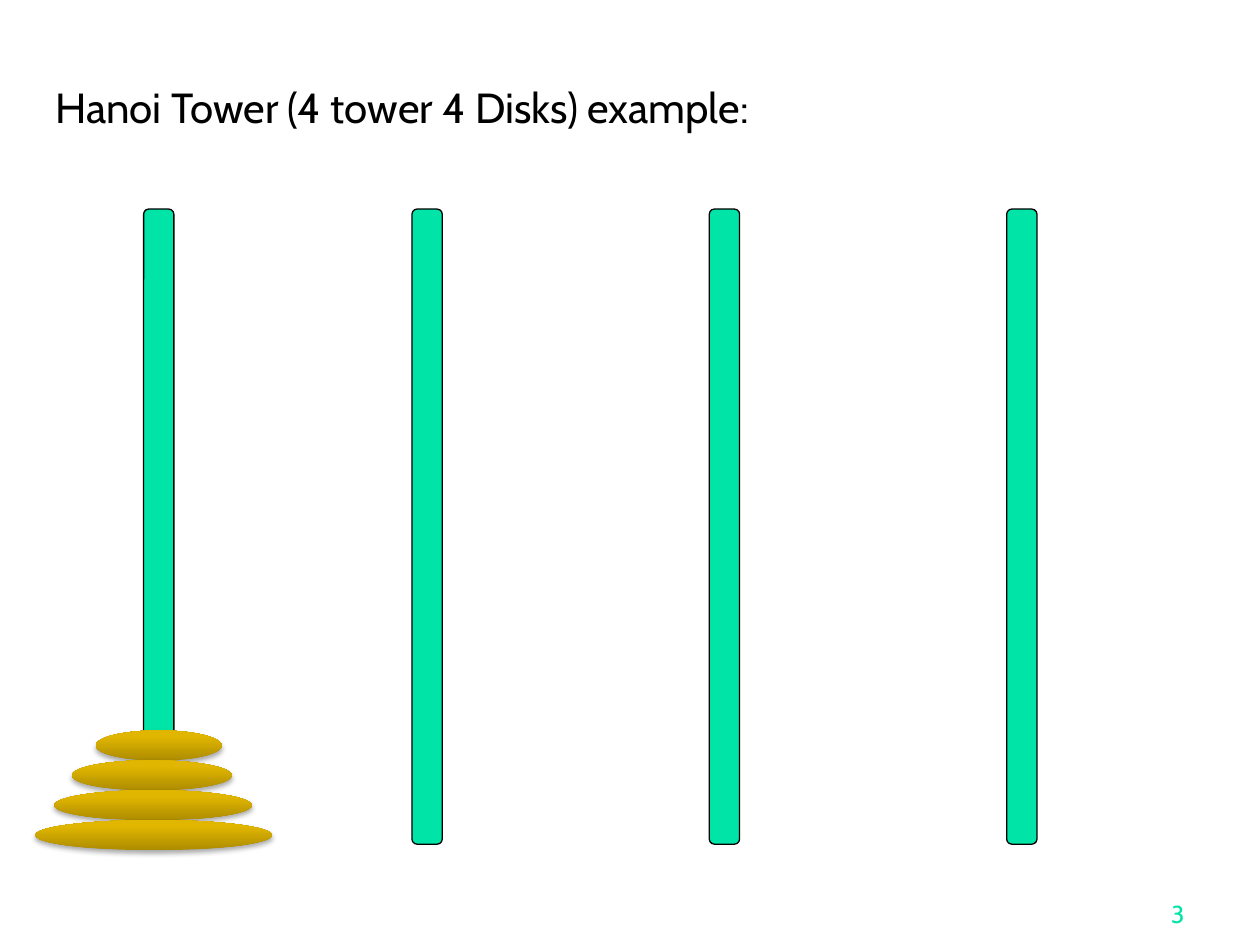
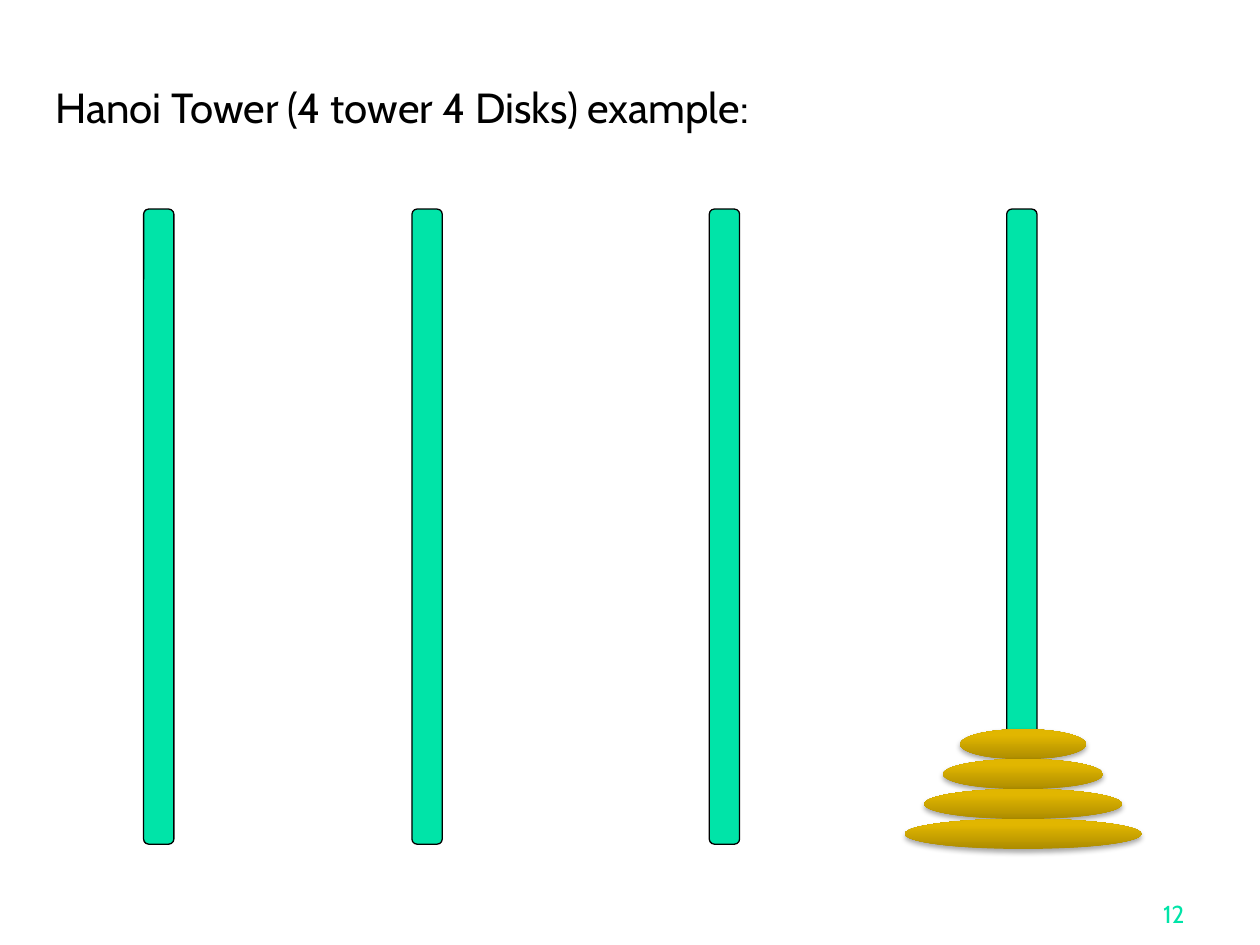
from lxml.etree import SubElement
from pptx import Presentation
from pptx.dml.color import RGBColor
from pptx.enum.shapes import MSO_SHAPE
from pptx.enum.text import MSO_ANCHOR, PP_ALIGN
from pptx.oxml import parse_xml
from pptx.oxml.ns import nsdecls, qn
from pptx.util import Inches, Pt

GREEN = RGBColor(0x00, 0xE4, 0xA8)
BLACK = RGBColor(0x00, 0x00, 0x00)
DARK = RGBColor(0xAD, 0x8C, 0x00)
GOLD = RGBColor(0xE1, 0xB6, 0x00)
LIGHT = RGBColor(0xE2, 0xB7, 0x00)

FONT = "Cabin"
COLS, ROWS = 100, 75  # grid laid over the slide
TITLE = "Hanoi Tower (4 tower 4 Disks) example:"

# Lengths in columns and rows
POLES = [12.6, 33.9, 57.5, 81.1]  # centre columns
POLE_TOP, POLE_W, POLE_H = 16.6, 2.4, 50.4
DISKS = [10, 12.7, 15.7, 18.8]  # widths, top disk first
DISK_H, STEP = 2.4, 2.37


class Deck:
    def __init__(self):
        self.prs = Presentation()
        self.prs.slide_width = Inches(10)
        self.prs.slide_height = Inches(7.5)
        self.slide = None

    def grid(self, x, y, w, h):
        col = self.prs.slide_width / COLS
        row = self.prs.slide_height / ROWS
        return round(x * col), round(y * row), round(w * col), round(h * row)

    def page(self, number):
        self.slide = self.prs.slides.add_slide(self.prs.slide_layouts[6])
        self.text(str(number), (74.2, 69.2, 20.8, 5), 14, GREEN,
                  PP_ALIGN.RIGHT, MSO_ANCHOR.BOTTOM)
        for mid in POLES:
            self.pole(mid)
        self.text(TITLE, (3.4, 6, 63.9, 5), 24, BLACK)

    def text(self, words, place, size, color,
             align=PP_ALIGN.LEFT, anchor=MSO_ANCHOR.TOP):
        frame = self.slide.shapes.add_textbox(*self.grid(*place)).text_frame
        frame.word_wrap = True
        frame.vertical_anchor = anchor
        frame.text = words
        para = frame.paragraphs[0]
        para.alignment = align
        font = para.runs[0].font
        font.name, font.size, font.color.rgb = FONT, Pt(size), color

    def shape(self, kind, mid, top, width, height):
        place = self.grid(mid - width / 2, top, width, height)
        shape = self.slide.shapes.add_shape(kind, *place)
        shape.shadow.inherit = False
        return shape

    def pole(self, mid):
        pole = self.shape(MSO_SHAPE.ROUNDED_RECTANGLE, mid, POLE_TOP,
                          POLE_W, POLE_H)
        pole.fill.solid()
        pole.fill.fore_color.rgb = GREEN
        pole.line.color.rgb = BLACK
        pole.line.width = Pt(0.75)

    def disk(self, mid, top, width):
        disk = self.shape(MSO_SHAPE.OVAL, mid, top, width, DISK_H)
        disk.line.fill.background()
        props = disk.element.spPr
        # Three-stop gradient, dark at the bottom
        stops = "".join(
            f'<a:gs pos="{pos * 1000}"><a:srgbClr val="{color}"/></a:gs>'
            for pos, color in [(0, DARK), (80, GOLD), (100, LIGHT)])
        props.find(qn("a:ln")).addprevious(parse_xml(
            f'<a:gradFill {nsdecls("a")} rotWithShape="1">'
            f'<a:gsLst>{stops}</a:gsLst>'
            '<a:lin ang="16200000" scaled="0"/></a:gradFill>'))
        # Soft shadow below
        cast = SubElement(props.find(qn("a:effectLst")), qn("a:outerShdw"),
                          blurRad=str(Pt(3.1)), dist=str(Pt(1.8)),
                          dir="5400000", rotWithShape="0")
        tint = SubElement(cast, qn("a:srgbClr"), val=str(BLACK))
        SubElement(tint, qn("a:alpha"), val="35000")

    def stack(self, mids, top):
        for i, (mid, width) in enumerate(zip(mids, DISKS)):
            self.disk(mid, top + i * STEP, width)


def main():
    deck = Deck()

    # Start: all disks on the first tower
    deck.page(3)
    deck.stack([12.6, 12.05, 12.15, 12.2], 57.97)

    # End: all disks on the last tower
    deck.page(12)
    deck.stack([81.2] * len(DISKS), 57.87)

    deck.prs.save("out.pptx")


if __name__ == "__main__":
    main()
